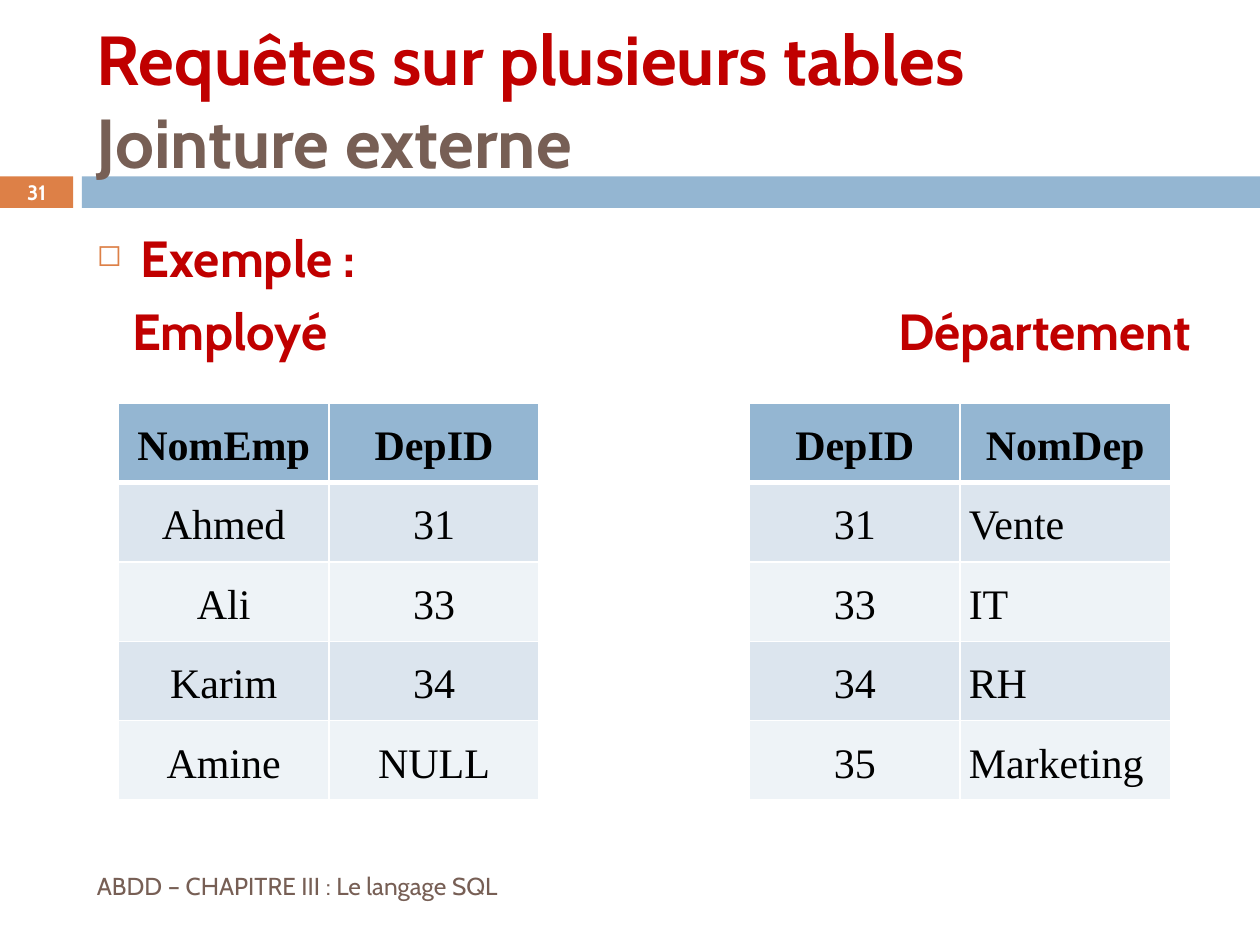
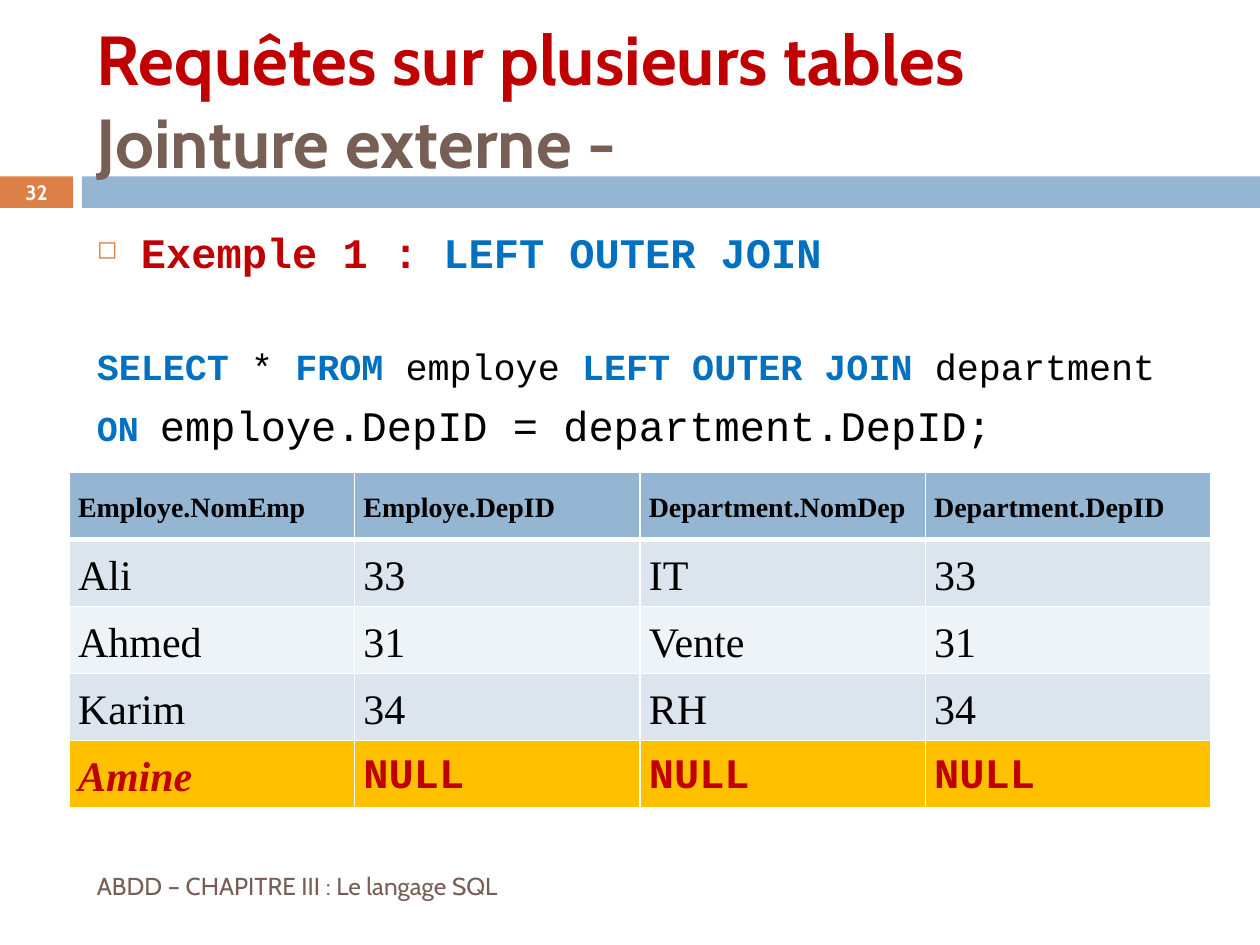
from lxml.etree import SubElement as Sub
from pptx import Presentation
from pptx.dml.color import RGBColor as RGB
from pptx.enum.shapes import MSO_SHAPE as Shape
from pptx.enum.text import MSO_ANCHOR as Anchor, PP_ALIGN as Align
from pptx.oxml.ns import qn
from pptx.util import Inches, Pt

RED, BROWN, ORANGE = RGB(0xC0, 0, 0), RGB(0x77, 0x5F, 0x55), RGB(0xDD, 0x80, 0x47)
BLUE, KEY, GOLD = RGB(0x94, 0xB6, 0xD2), RGB(0, 0x70, 0xC0), RGB(0xFF, 0xC0, 0)
DARK, LIGHT = RGB(0xDC, 0xE5, 0xEE), RGB(0xEE, 0xF3, 0xF7)
BLACK, WHITE = RGB(0, 0, 0), RGB(0xFF, 0xFF, 0xFF)
SANS, MONO, SERIF = "Cabin", "Courier New", "Times New Roman"

WIDE, HIGH = 10, 7.5
LEFT, SPAN, HANG = 0.67, 8.92, 0.35
BAND, TAB, THICK = 1.4, 0.58, 0.25
TITLE = "Requêtes sur plusieurs tables"
FOOT = "ABDD – CHAPITRE III : Le langage SQL"


def sql(text, size=21):
    return text, size, MONO, BLACK, False


def key(text, size=21):
    return text, size, MONO, KEY, True


def head(text):
    return text, 29, SANS, RED, True


PAGES = [
    {
        "num": "31", "sub": "Jointure externe",
        "body": [
            {"bullet": True, "runs": [head("Exemple :")]},
            {"stops": (0.28, 6.36), "runs": [head("\tEmployé\tDépartement")]},
        ],
        "grid": {
            "at": (0.94, 3.2), "cell": (1.67, 0.63), "size": 24,
            "align": [Align.CENTER] * 4 + [Align.LEFT],
            "rows": [
                ("NomEmp", "DepID", "", "DepID", "NomDep"),
                ("Ahmed", "31", "", "31", "Vente"),
                ("Ali", "33", "", "33", "IT"),
                ("Karim", "34", "", "34", "RH"),
                ("Amine", "NULL", "", "35", "Marketing"),
            ],
        },
    },
    {
        "num": "32", "sub": "Jointure externe -",
        "body": [
            {"bullet": True, "runs": [("Exemple 1 : ", 24, MONO, RED, True),
                                      key("LEFT OUTER JOIN", 24)]},
            {"before": 38, "runs": [key("SELECT"), sql(" * "), key("FROM "), sql("employe "),
                                    key("LEFT OUTER JOIN "), sql("department")]},
            {"runs": [key("ON ", 20), sql("employe.DepID = department.DepID;", 24)]},
        ],
        "grid": {
            "at": (0.55, 3.75), "cell": (2.265, 0.532), "size": 16, "mark": 4,
            "align": [Align.LEFT] * 4,
            "rows": [
                ("Employe.NomEmp", "Employe.DepID", "Department.NomDep", "Department.DepID"),
                ("Ali", "33", "IT", "33"),
                ("Ahmed", "31", "Vente", "31"),
                ("Karim", "34", "RH", "34"),
                ("Amine", "NULL", "NULL", "NULL"),
            ],
        },
    },
]


def style(font, size, face, color, bold):
    font.size, font.name, font.bold = Pt(size), face, bold
    font.color.rgb = color


def write(para, runs):
    for text, *look in runs:
        run = para.add_run()
        run.text = text
        style(run.font, *look)


def box(slide, x, y, w, h, anchor=Anchor.MIDDLE):
    frame = slide.shapes.add_textbox(*map(Inches, (x, y, w, h))).text_frame
    frame.word_wrap = True
    frame.vertical_anchor = anchor
    return frame


def band(slide, x, w, color):
    bar = slide.shapes.add_shape(Shape.RECTANGLE, *map(Inches, (x, BAND, w, THICK)))
    bar.shadow.inherit = False
    bar.fill.solid()
    bar.fill.fore_color.rgb = color
    bar.line.fill.background()


def frame(slide, page):
    band(slide, 0, TAB, ORANGE)
    band(slide, 0.65, WIDE - 0.65, BLUE)
    para = box(slide, LEFT, 0.25, SPAN, 1.08).paragraphs[0]
    write(para, [(TITLE, 39.6, SANS, RED, True)])
    para.add_line_break()
    write(para, [(page["sub"], 39.6, SANS, BROWN, True)])
    num = box(slide, 0, 1.39, TAB, 0.27)
    num.margin_left = num.margin_right = num.margin_top = num.margin_bottom = 0
    num.paragraphs[0].alignment = Align.CENTER
    write(num.paragraphs[0], [(page["num"], 11.9, SANS, WHITE, True)])
    foot = box(slide, LEFT, 6.83, 9.02, 0.4)
    write(foot.paragraphs[0], [(FOOT, 14, SANS, BROWN, False)])


def body(slide, lines):
    text = box(slide, LEFT, 1.75, SPAN, 4.92, Anchor.TOP)
    for i, line in enumerate(lines):
        para = text.add_paragraph() if i else text.paragraphs[0]
        para.space_before = Pt(line.get("before", 7))
        prop = para._p.get_or_add_pPr()
        if "stops" in line:
            tabs = Sub(prop, qn("a:tabLst"))
            for stop in line["stops"]:
                Sub(tabs, qn("a:tab"), pos=str(Inches(stop)), algn="l")
        else:
            prop.set("marL", str(Inches(HANG)))
            prop.set("indent", str(-Inches(HANG)))
        if line.get("bullet"):
            Sub(Sub(prop, qn("a:buClr")), qn("a:srgbClr"), val=str(ORANGE))
            Sub(prop, qn("a:buSzPct"), val="60000")
            Sub(prop, qn("a:buChar"), char="◻")
        write(para, line["runs"])


def edge(cell, top):
    prop = cell._tc.get_or_add_tcPr()
    for side in "LRTB":
        thick = 3 if (top == 0 and side == "B") or (top == 1 and side == "T") else 1
        line = Sub(prop, qn("a:ln" + side), w=str(Pt(thick)))
        Sub(Sub(line, qn("a:solidFill")), qn("a:srgbClr"), val=str(WHITE))


def grid(slide, data):
    rows, (w, h) = data["rows"], data["cell"]
    nr, nc = len(rows), len(rows[0])
    table = slide.shapes.add_table(
        nr, nc, *map(Inches, (*data["at"], nc * w, nr * h))).table
    for r, row in enumerate(rows):
        mark = r == data.get("mark")
        fill = BLUE if r == 0 else GOLD if mark else DARK if r % 2 else LIGHT
        for c, text in enumerate(row):
            cell = table.cell(r, c)
            edge(cell, r)
            cell.fill.solid()
            cell.fill.fore_color.rgb = fill if text else WHITE
            cell.vertical_anchor = Anchor.MIDDLE
            cell.margin_left = cell.margin_right = Inches(0.07)
            cell.margin_top = cell.margin_bottom = 0
            if not text:
                continue
            para = cell.text_frame.paragraphs[0]
            para.text = text
            para.line_spacing = 1.15
            para.alignment = Align.CENTER if r == 0 and nc == 5 else data["align"][c]
            font = para.runs[0].font
            style(font, 24 if r else data["size"], MONO if mark and c else SERIF,
                  RED if mark else BLACK, r == 0 or mark)
            font.italic = mark and c == 0


def main():
    deck = Presentation()
    deck.slide_width, deck.slide_height = Inches(WIDE), Inches(HIGH)
    for page in PAGES:
        slide = deck.slides.add_slide(deck.slide_layouts[6])
        frame(slide, page)
        body(slide, page["body"])
        grid(slide, page["grid"])
    deck.save("out.pptx")


if __name__ == "__main__":
    main()
